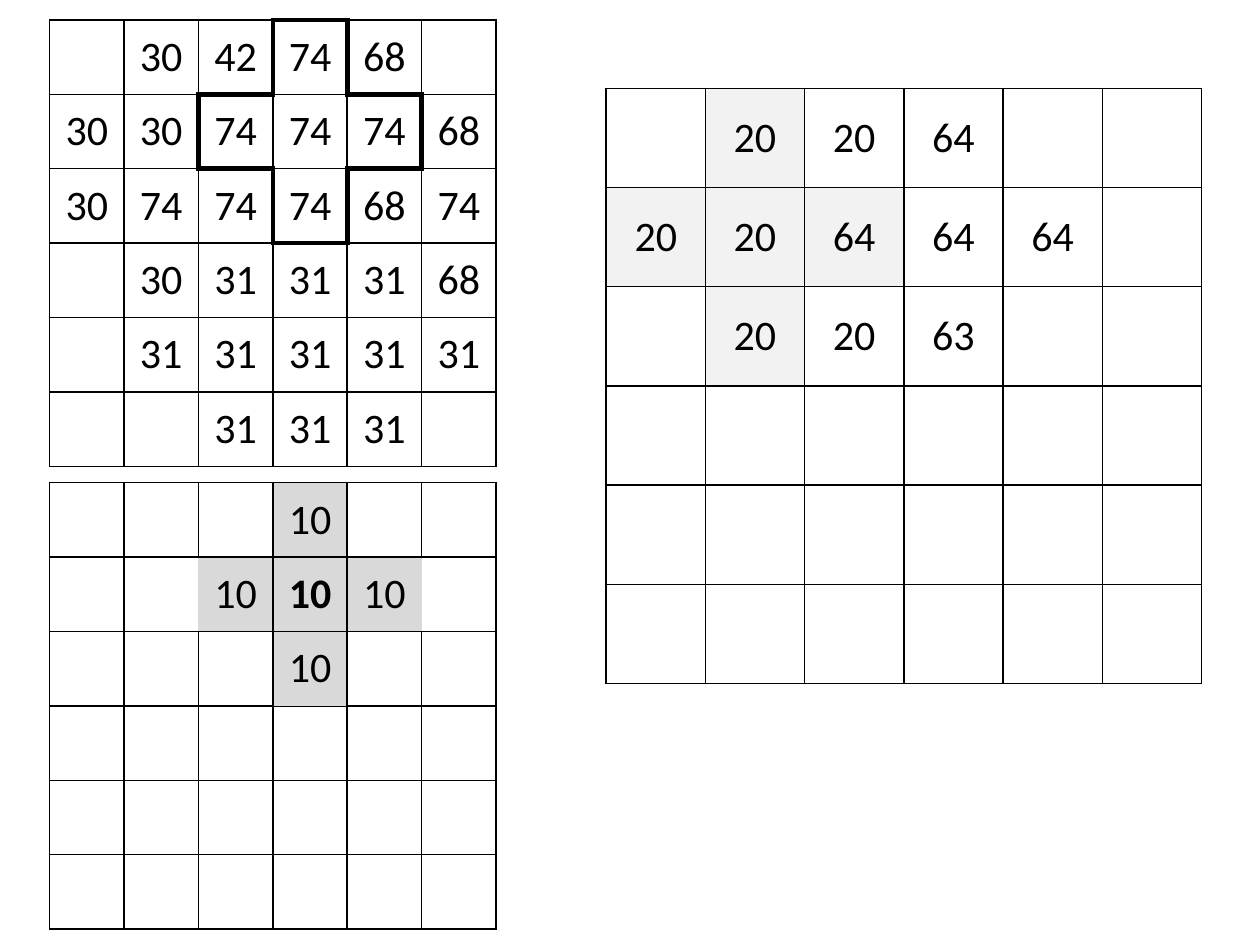
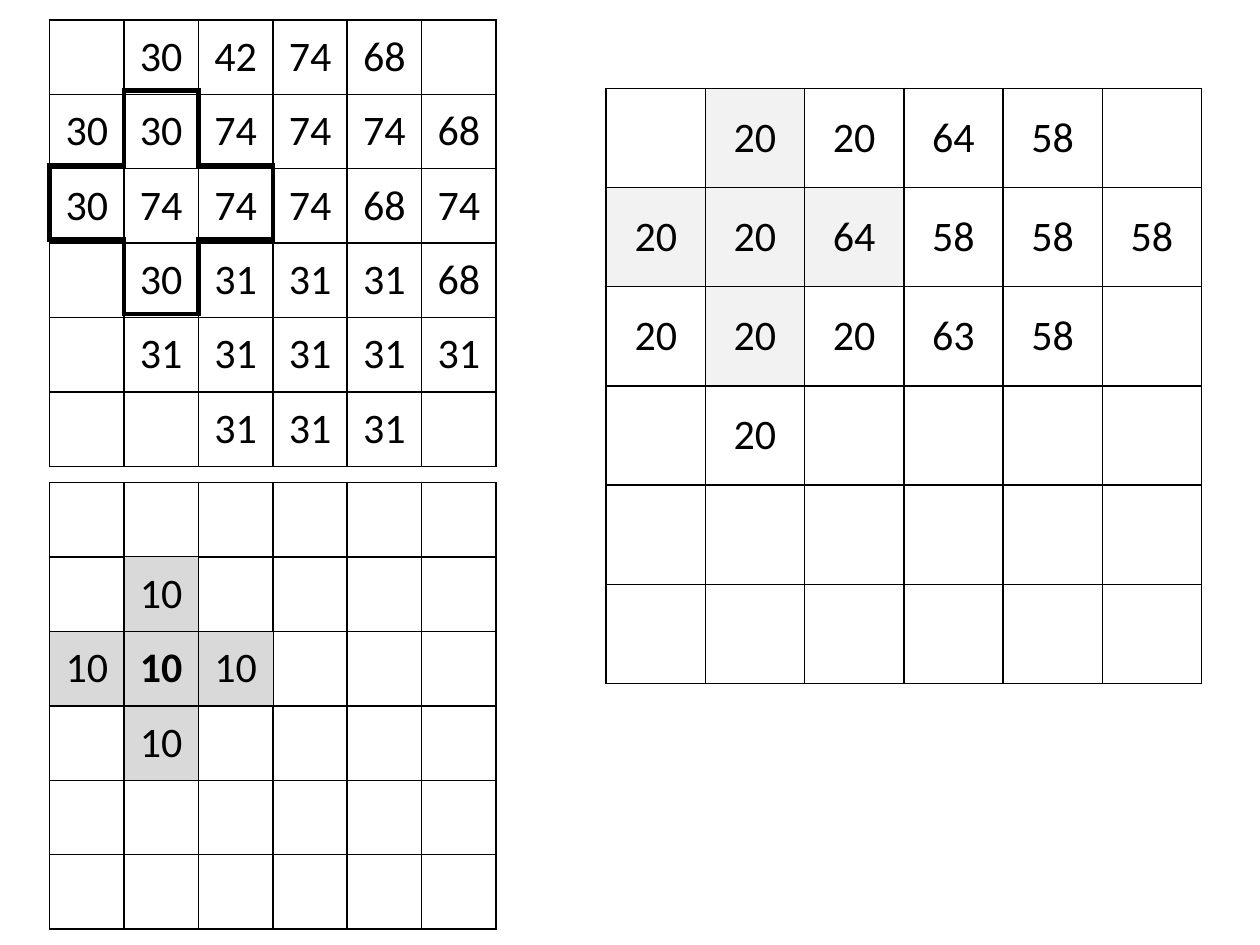
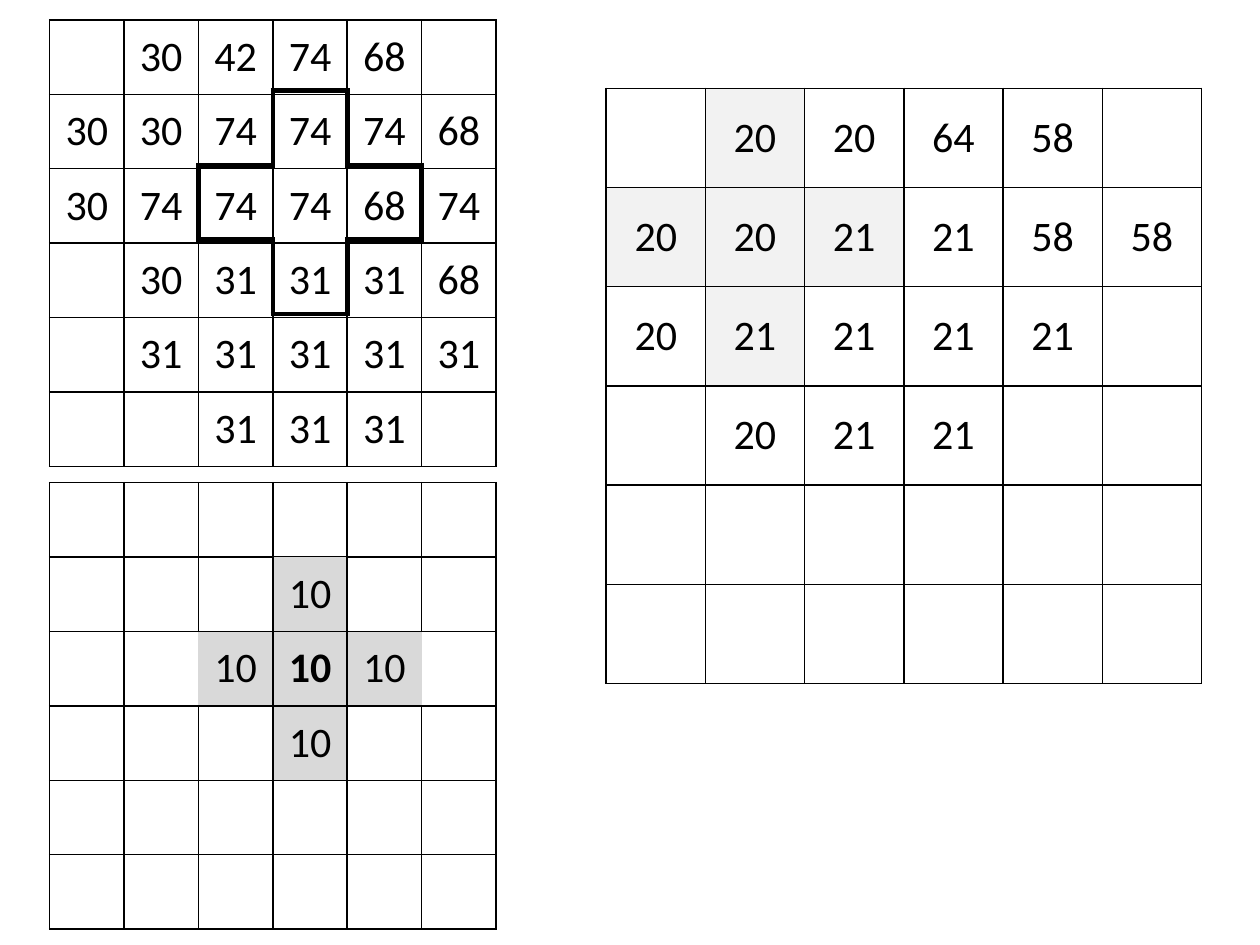
from lxml.etree import SubElement
from pptx import Presentation
from pptx.dml.color import RGBColor as Rgb
from pptx.enum.text import MSO_ANCHOR as Anchor, PP_ALIGN as Align
from pptx.oxml.ns import qn
from pptx.util import Cm, Pt

COLORS = {"ink": "000000", "kernel": "D9D9D9", "origin": "F2F2F2"}
FONT = "Calibri"
NO_STYLE = "{2D5ABB26-0587-4C30-8999-92F81FD0307C}"
SIDES = {"lnL": (0, -1), "lnR": (0, 1), "lnT": (-1, 0), "lnB": (1, 0)}

CELL, RESULT_CELL = 1.5, 2.0
LEFT, INPUT_TOP, KERNEL_TOP = 1.0, 0.4, 9.73
RESULT_LEFT, RESULT_TOP = 12.22, 1.78
WINDOW_STEP = 1.43  # the window moves down slightly less than one cell

CENTRE = (1, 1)
CROSS = {CENTRE, (0, 1), (1, 0), (1, 2), (2, 1)}

# A dot stands for an empty cell.
EMPTY = [". . . . . ."] * 6
INPUT = [
    ". 30 42 74 68 .",
    "30 30 74 74 74 68",
    "30 74 74 74 68 74",
    ". 30 31 31 31 68",
    ". 31 31 31 31 31",
    ". . 31 31 31 .",
]
KERNEL = [". 10 .", "10 10 10", ". 10 ."]
WINDOW = [". . ."] * 3

# Each step: row and column of the kernel's centre, and the result so far.
STEPS = [
    (1, 3, [". 20 20 64 . .", "20 20 64 64 64 .", ". 20 20 63 . ."] + EMPTY[:3]),
    (2, 1, [". 20 20 64 58 .", "20 20 64 58 58 58", "20 20 20 63 58 .",
            ". 20 . . . ."] + EMPTY[:2]),
    (2, 3, [". 20 20 64 58 .", "20 20 21 21 58 58", "20 21 21 21 21 .",
            ". 20 21 21 . ."] + EMPTY[:2]),
]


def every_edge(cell, neighbour):
    return True


def inner_edge(cell, neighbour):
    return all(0 <= index < 3 for index in neighbour)


def cross_outline(cell, neighbour):
    return (cell in CROSS) != (neighbour in CROSS)


def write(cell, text, size=24, color="ink", bold=False):
    cell.vertical_anchor = Anchor.MIDDLE
    paragraph = cell.text_frame.paragraphs[0]
    paragraph.alignment = Align.CENTER
    run = paragraph.add_run()
    run.text = text
    run.font.name = FONT
    run.font.size = Pt(size)
    run.font.bold = bold
    run.font.color.rgb = Rgb.from_string(COLORS[color])


def draw_borders(cell, position, has_line, width):
    """Line the sides for which has_line(cell, neighbour) holds."""
    properties = cell._tc.get_or_add_tcPr()
    for order, (tag, (down, right)) in enumerate(SIDES.items()):
        border = SubElement(properties, qn(f"a:{tag}"), w=str(Pt(width)))
        properties.insert(order, border)
        if has_line(position, (position[0] + down, position[1] + right)):
            fill = SubElement(border, qn("a:solidFill"))
            SubElement(fill, qn("a:srgbClr"), val=COLORS["ink"])
        else:
            SubElement(border, qn("a:noFill"))


def add_grid(slide, rows, left, top, size, has_line=every_edge, width=1,
             shade=None, bold_cell=None):
    """Add a table of square cells; shade colours the cells of CROSS."""
    values = [row.split() for row in rows]
    side = Cm(size * len(values))
    table = slide.shapes.add_table(len(values), len(values), Cm(left), Cm(top),
                                   side, side).table
    table.first_row = table.horz_banding = False
    table._tbl.tblPr.find(qn("a:tableStyleId")).text = NO_STYLE
    for line in (*table.rows, *table.columns):
        if line in table.rows:
            line.height = Cm(size)
        else:
            line.width = Cm(size)
    for r, row in enumerate(values):
        for c, value in enumerate(row):
            cell = table.cell(r, c)
            if shade and (r, c) in CROSS:
                cell.fill.solid()
                cell.fill.fore_color.rgb = Rgb.from_string(COLORS[shade])
            else:
                cell.fill.background()
            draw_borders(cell, (r, c), has_line, width)
            if value != ".":
                write(cell, value, bold=(r, c) == bold_cell)


def add_step(slide, row, column, result):
    cross_left = LEFT + (column - 1) * CELL
    add_grid(slide, result, RESULT_LEFT, RESULT_TOP, RESULT_CELL, shade="origin")
    add_grid(slide, EMPTY, LEFT, KERNEL_TOP, CELL)
    add_grid(slide, KERNEL, cross_left, KERNEL_TOP + (row - 1) * CELL, CELL,
             inner_edge, shade="kernel", bold_cell=CENTRE)
    add_grid(slide, INPUT, LEFT, INPUT_TOP, CELL)
    add_grid(slide, WINDOW, cross_left, INPUT_TOP + (row - 1) * WINDOW_STEP, CELL,
             cross_outline, width=3)


def main():
    deck = Presentation()
    deck.slide_width, deck.slide_height = Cm(25.4), Cm(19.05)
    for row, column, result in STEPS:
        add_step(deck.slides.add_slide(deck.slide_layouts[6]), row, column, result)
    deck.save("out.pptx")


if __name__ == "__main__":
    main()
